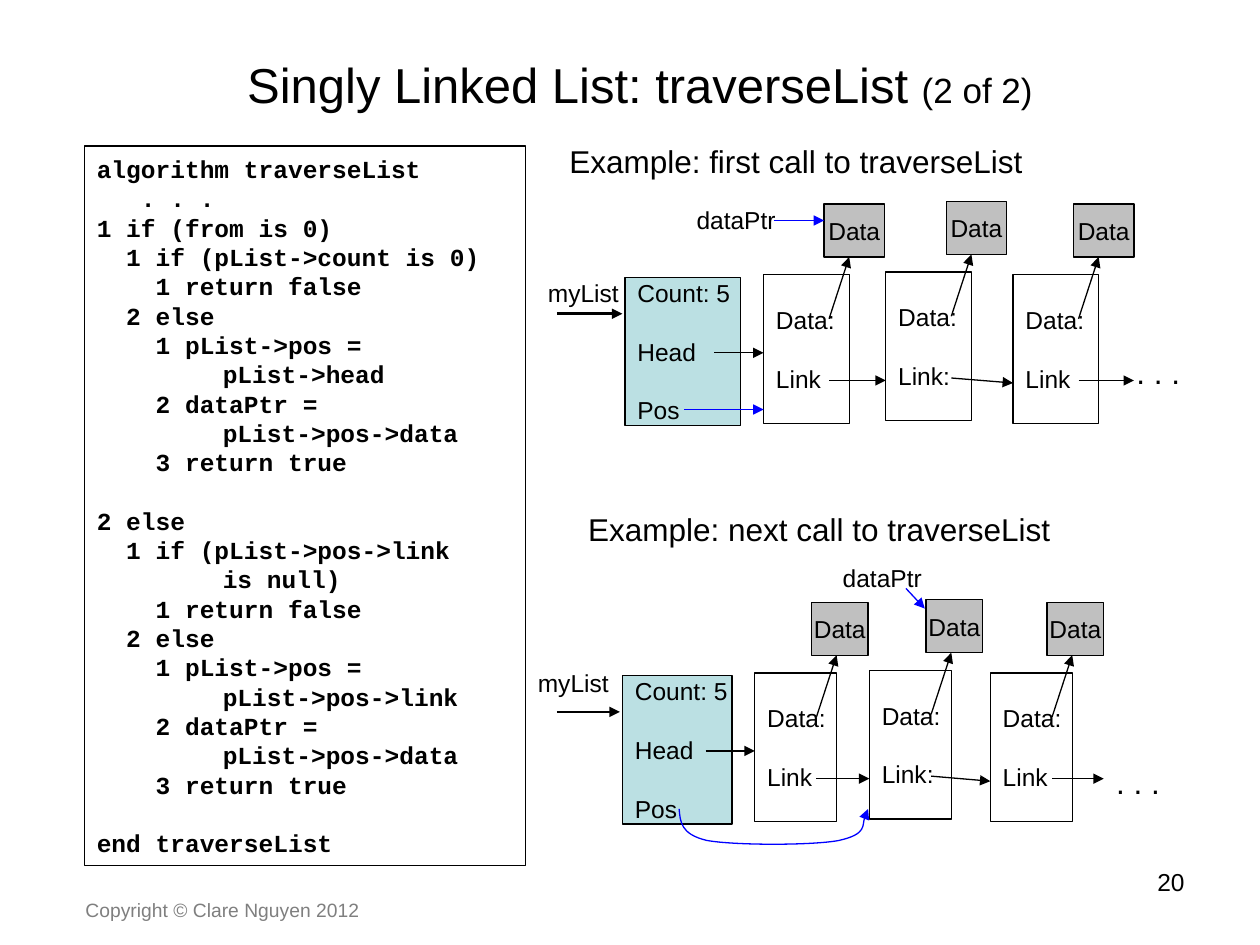
import dataclasses

import lxml.etree
import pptx
import pptx.dml.color
import pptx.enum.shapes
import pptx.enum.text
import pptx.oxml.ns
import pptx.util

Inches = pptx.util.Inches
Pt = pptx.util.Pt
qn = pptx.oxml.ns.qn
Align = pptx.enum.text.PP_ALIGN
Anchor = pptx.enum.text.MSO_ANCHOR


@dataclasses.dataclass(frozen=True)
class Theme:
    black: str = "000000"
    blue: str = "0000FF"
    header_fill: str = "BBE0E3"
    data_fill: str = "C0C0C0"
    gray: str = "7F7F7F"
    font: str = "Arial"
    code_font: str = "Courier New"
    title: float = 28
    subtitle: float = 20
    heading: float = 18
    body: float = 14
    footer: float = 11
    line_pitch: float = 16.75
    thin: float = 0.75
    thick: float = 1.5


THEME = Theme()

CODE = """algorithm traverseList
   . . .
1 if (from is 0)
  1 if (pList->count is 0)
    1 return false
  2 else
    1 pList->pos =
\tpList->head
    2 dataPtr =
\tpList->pos->data
    3 return true

2 else
  1 if (pList->pos->link
\tis null)
    1 return false
  2 else
    1 pList->pos =
\tpList->pos->link
    2 dataPtr =
\tpList->pos->data
    3 return true

end traverseList"""


def color(value):
    return pptx.dml.color.RGBColor.from_string(value)


def add_run(paragraph, text, size=THEME.body, font=THEME.font, ink=THEME.black, bold=False):
    run = paragraph.add_run()
    run.text = text
    run.font.size = Pt(size)
    run.font.name = font
    run.font.bold = bold
    run.font.color.rgb = color(ink)


def write_text(shape, text, align=Align.LEFT, anchor=Anchor.TOP, wrap=True,
               pitch=None, tab=None, **run_format):
    """Fill a shape with lines; an empty line becomes space before the next."""
    frame = shape.text_frame
    frame.word_wrap = wrap
    frame.vertical_anchor = anchor
    paragraph, gap = None, False
    for line in text.split("\n"):
        if not line:
            gap = True
            continue
        paragraph = frame.add_paragraph() if paragraph else frame.paragraphs[0]
        if tab:
            tabs = lxml.etree.SubElement(paragraph._p.get_or_add_pPr(), qn("a:tabLst"))
            lxml.etree.SubElement(tabs, qn("a:tab"), pos=str(Inches(tab)), algn="l")
        paragraph.alignment = align
        if pitch:
            paragraph.line_spacing = Pt(pitch)
        if gap:
            paragraph.space_before = Pt(pitch)
        gap = False
        add_run(paragraph, line, **run_format)
    return paragraph


def add_label(slide, left, top, width, height, text, **text_format):
    shape = slide.shapes.add_textbox(Inches(left), Inches(top), Inches(width), Inches(height))
    paragraph = write_text(shape, text, **text_format)
    if not shape.text_frame.word_wrap:
        shape.text_frame.auto_size = pptx.enum.text.MSO_AUTO_SIZE.SHAPE_TO_FIT_TEXT
    return paragraph


def add_ellipsis(slide, left, top):
    add_label(slide, left, top, 0.75, 0.4, ". . .", size=THEME.heading)


def add_box(slide, left, top, width, height, text, fill=None, **text_format):
    shape = slide.shapes.add_shape(
        pptx.enum.shapes.MSO_SHAPE.RECTANGLE,
        Inches(left), Inches(top), Inches(width), Inches(height))
    shape.shadow.inherit = False
    if fill:
        shape.fill.solid()
        shape.fill.fore_color.rgb = color(fill)
    else:
        shape.fill.background()
    shape.line.color.rgb = color(THEME.black)
    shape.line.width = Pt(THEME.thin)
    write_text(shape, text, anchor=Anchor.MIDDLE, **text_format)


def style_arrow(shape, ink, width):
    shape.line.color.rgb = color(ink)
    shape.line.width = Pt(width)
    lxml.etree.SubElement(shape.line._get_or_add_ln(), qn("a:tailEnd"), type="triangle")


def add_arrow(slide, start, end, ink=THEME.black, width=THEME.thin):
    connector = slide.shapes.add_connector(
        pptx.enum.shapes.MSO_CONNECTOR.STRAIGHT,
        *(Inches(value) for value in (*start, *end)))
    style_arrow(connector, ink, width)
    lxml.etree.SubElement(connector._element.spPr, qn("a:effectLst"))


def add_curved_arrow(slide, start, controls, ink):
    """Each three points in controls make one cubic segment."""
    builder = slide.shapes.build_freeform(
        Inches(start[0]), Inches(start[1]), scale=1.0)
    builder.add_line_segments([(Inches(x), Inches(y)) for x, y in controls], close=False)
    shape = builder.convert_to_shape()
    segments = list(shape._element.iter(qn("a:lnTo")))
    for first in range(0, len(segments), 3):
        curve = lxml.etree.Element(qn("a:cubicBezTo"))
        segments[first].addprevious(curve)
        for segment in segments[first:first + 3]:
            curve.append(segment[0])
            segment.getparent().remove(segment)
    shape.fill.background()
    shape.shadow.inherit = False
    style_arrow(shape, ink, THEME.thin)


def add_node(slide, left, top, width, link_label, link_end, link_drop):
    """Node with its data box above, data arrow and link arrow."""
    data_width = width - 0.2
    add_box(slide, left, top, width, 1.18, f"Data:\n\n{link_label}",
            wrap=False, pitch=THEME.line_pitch)
    add_box(slide, left + width - 0.2, top - 0.56, data_width, 0.42, "Data",
            fill=THEME.data_fill, align=Align.CENTER, wrap=False)
    inner = left + width - 0.16
    add_arrow(slide, (inner, top + 0.35), (left + width, top - 0.14))
    add_arrow(slide, (inner, top + 0.84), (link_end, top + 0.84 + link_drop))


def add_linked_list(slide, header_left, header_top, header_width, node_lefts, node_width):
    # List header and its arrows
    add_box(slide, header_left, header_top, header_width, 1.18, "Count: 5\n\nHead\n\nPos",
            fill=THEME.header_fill, wrap=False, pitch=THEME.line_pitch)
    pointer_y = header_top + 0.29
    add_arrow(slide, (4.42, pointer_y), (header_left - 0.02, pointer_y), width=THEME.thick)
    head_y = header_top + 0.6
    add_arrow(slide, (header_left + header_width - 0.21, head_y), (node_lefts[0], head_y))

    # Nodes, each linked to the next; the middle one sits a little higher
    node_top = header_top - 0.02
    link_ends = [*node_lefts[1:], node_lefts[-1] + 2 * node_width - 0.4]
    rows = zip(node_lefts, (0, 0.02, 0), ("Link", "Link:", "Link"), link_ends, (0, 0.04, 0))
    for left, rise, label, link_end, drop in rows:
        add_node(slide, left, node_top - rise, node_width, label, link_end, drop)


def main():
    presentation = pptx.Presentation()
    presentation.slide_width, presentation.slide_height = Inches(10), Inches(7.5)
    slide = presentation.slides.add_slide(presentation.slide_layouts[6])

    # Title, page number and footer
    title = add_label(slide, 0.58, 0.33, 9, 0.67, "Singly Linked List: traverseList ",
                      size=THEME.title, align=Align.CENTER, anchor=Anchor.MIDDLE)
    add_run(title, "(2 of 2)", size=THEME.subtitle)
    add_label(slide, 7.17, 6.83, 2.33, 0.52, "20", align=Align.RIGHT)
    add_label(slide, 0.58, 7.08, 3.17, 0.19, "Copyright © Clare Nguyen 2012",
              size=THEME.footer, ink=THEME.gray)

    # Algorithm
    add_box(slide, 0.67, 1.16, 3.5, 5.71, CODE, font=THEME.code_font, bold=True,
            pitch=THEME.line_pitch, tab=1)

    # First call
    add_label(slide, 4.42, 1.08, 3.8, 0.4, "Example: first call to traverseList",
              size=THEME.heading, wrap=False)
    add_label(slide, 4.25, 2.16, 0.83, 0.34, "myList")
    add_linked_list(slide, 4.96, 2.2, 0.92, (6.06, 7.03, 8.04), 0.68)
    add_ellipsis(slide, 8.92, 2.75)
    add_label(slide, 5.43, 1.58, 0.83, 0.34, "dataPtr", wrap=False)
    add_arrow(slide, (6.14, 1.75), (6.54, 1.75), ink=THEME.blue)
    add_arrow(slide, (5.43, 3.25), (6.06, 3.25), ink=THEME.blue)

    # Next call
    add_label(slide, 4.57, 4, 3.87, 0.4, "Example: next call to traverseList",
              size=THEME.heading, wrap=False)
    add_label(slide, 4.17, 5.25, 0.79, 0.34, "myList")
    add_linked_list(slide, 4.94, 5.36, 0.87, (5.99, 6.9, 7.86), 0.65)
    add_ellipsis(slide, 8.76, 6.01)
    add_label(slide, 6.59, 4.42, 0.83, 0.34, "dataPtr", wrap=False)
    add_arrow(slide, (7.19, 4.67), (7.34, 4.83), ink=THEME.blue)
    add_curved_arrow(slide, (5.39, 6.42), [
        (5.4, 6.52), (5.4, 6.62), (5.61, 6.67),
        (5.83, 6.71), (6.45, 6.71), (6.66, 6.67),
        (6.88, 6.62), (6.85, 6.46), (6.89, 6.42)], THEME.blue)

    presentation.save("out.pptx")


if __name__ == "__main__":
    main()
